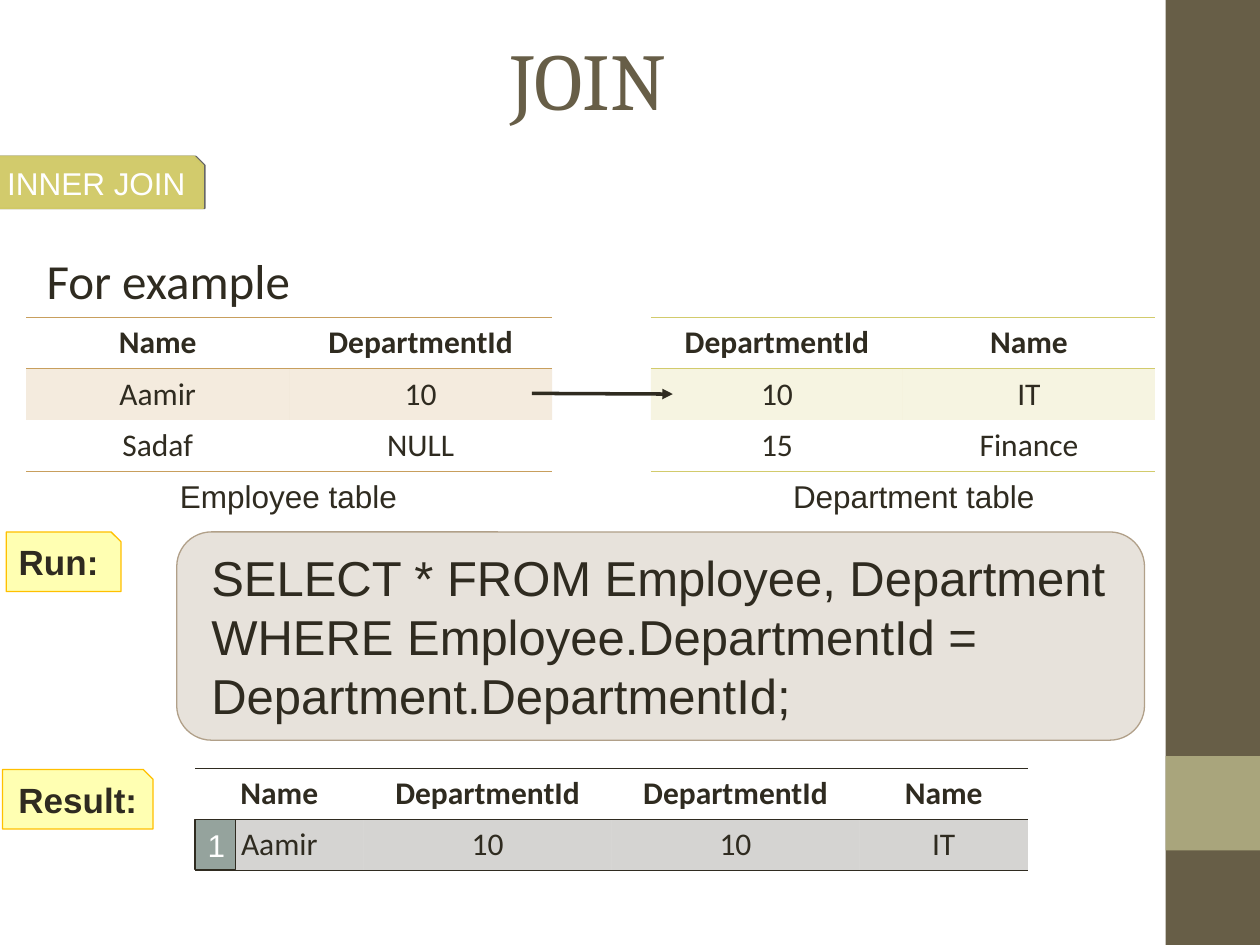
import dataclasses

import pptx
import pptx.dml.color
import pptx.enum.shapes
import pptx.enum.text
import pptx.oxml
import pptx.oxml.ns
import pptx.util

Pt = pptx.util.Pt
qn = pptx.oxml.ns.qn
RGB = pptx.dml.color.RGBColor.from_string
SHAPE = pptx.enum.shapes.MSO_SHAPE
ALIGN = pptx.enum.text.PP_ALIGN
ANCHOR = pptx.enum.text.MSO_ANCHOR
NS = pptx.oxml.ns.nsdecls("a")


@dataclasses.dataclass
class Theme:
    ink: str = "2F2B20"
    white: str = "FFFFFF"
    brown: str = "675E47"
    sage: str = "A9A57C"
    lime: str = "D2CB6C"
    lime_edge: str = "D0C967"
    ochre: str = "C89F5D"
    taupe: str = "B1A089"
    yellow: str = "FFFF00"
    amber: str = "FFC000"
    slate: str = "95A39D"
    title_font: str = "Cambria"
    text_font: str = "Calibri"
    label_font: str = "Arial"
    title_size: float = 46
    large: float = 28
    medium: float = 20
    small: float = 18
    hairline: float = 0.45
    thin: float = 0.75


class Deck:
    def __init__(self, prs, theme):
        self.theme = theme
        self.slide = prs.slides.add_slide(prs.slide_layouts[5])
        self.shapes = self.slide.shapes

    def fill_text(self, tf, text, size, font=None, color=None, bold=False,
                  align=ALIGN.LEFT):
        p = tf.paragraphs[0]
        p.text = text
        p.alignment = align
        r = p.runs[0]
        r.font.size = Pt(size)
        r.font.name = font or self.theme.label_font
        r.font.bold = bold
        r.font.color.rgb = RGB(color or self.theme.ink)

    def set_opacity(self, props, percent):
        color = props.find(qn("a:solidFill"))[0]
        color.append(pptx.oxml.parse_xml(
            f'<a:alpha {NS} val="{percent * 1000}"/>'))

    def paint(self, sp, fill, line=None, width=1, opacity=100):
        sp.shadow.inherit = False
        sp.fill.solid()
        sp.fill.fore_color.rgb = RGB(fill)
        if opacity < 100:
            self.set_opacity(sp.element.spPr, opacity)
        if line:
            sp.line.color.rgb = RGB(line)
            sp.line.width = Pt(width)
        else:
            sp.line.fill.background()
        sp.text_frame.word_wrap = True
        return sp

    def title(self, text, x, y, w, h):
        sp = self.shapes.title
        sp.left, sp.top, sp.width, sp.height = map(Pt, (x, y, w, h))
        tf = sp.text_frame
        tf.auto_size = pptx.enum.text.MSO_AUTO_SIZE.NONE
        tf.vertical_anchor = ANCHOR.MIDDLE
        self.fill_text(tf, text, self.theme.title_size, self.theme.title_font,
                       self.theme.brown, align=ALIGN.CENTER)

    def text(self, text, x, y, w, h, size, **style):
        tf = self.shapes.add_textbox(*map(Pt, (x, y, w, h))).text_frame
        tf.word_wrap = True
        self.fill_text(tf, text, size, **style)

    def box(self, kind, x, y, w, h, fill, **paint):
        sp = self.shapes.add_shape(kind, *map(Pt, (x, y, w, h)))
        return self.paint(sp, fill, **paint)

    def tag(self, text, x, y, w, h, size, fill, line, width=1, opacity=100,
            snip=5.6, **style):
        """Label with its top right corner cut off."""
        right, bottom = x + w, y + h
        outline = [(right - snip, y), (right, y + snip), (right, bottom),
                   (x, bottom)]
        fb = self.shapes.build_freeform(Pt(x), Pt(y), 1.0)
        fb.add_line_segments([(Pt(a), Pt(b)) for a, b in outline], close=True)
        sp = self.paint(fb.convert_to_shape(), fill, line, width, opacity)
        sp.text_frame.vertical_anchor = ANCHOR.MIDDLE
        self.fill_text(sp.text_frame, text, size, **style)
        return sp

    def hard_shadow(self, sp):
        effects = sp.element.spPr.find(qn("a:effectLst"))
        effects.append(pptx.oxml.parse_xml(
            f'<a:outerShdw {NS} blurRad="0" dist="{Pt(1)}" dir="0">'
            '<a:srgbClr val="000000"><a:alpha val="60000"/></a:srgbClr>'
            '</a:outerShdw>'))

    def borders(self, cell, color, sides):
        tcPr = cell._tc.get_or_add_tcPr()
        for i, side in enumerate("LRTB"):
            paint = (f'<a:solidFill><a:srgbClr val="{color}"/></a:solidFill>'
                     if side in sides else "<a:noFill/>")
            tcPr.insert(i, pptx.oxml.parse_xml(
                f'<a:ln{side} {NS} w="{Pt(self.theme.hairline)}">'
                f'{paint}</a:ln{side}>'))

    def table(self, rows, x, y, widths, row_h, color):
        """Ruled table: bold header, first data row tinted."""
        frame = self.shapes.add_table(
            len(rows), len(widths),
            *map(Pt, (x, y, sum(widths), row_h * len(rows))))
        table = frame.table
        table.first_row = table.horz_banding = False
        for column, w in zip(table.columns, widths):
            column.width = Pt(w)
        for i, row in enumerate(rows):
            table.rows[i].height = Pt(row_h)
            sides = ("T" if i < 2 else "") + (
                "B" if i in (0, len(rows) - 1) else "")
            for j, value in enumerate(row):
                cell = table.cell(i, j)
                self.fill_text(cell.text_frame, value, self.theme.small,
                               self.theme.text_font, bold=i == 0,
                               align=ALIGN.CENTER)
                if i == 1:
                    cell.fill.solid()
                    cell.fill.fore_color.rgb = RGB(color)
                    self.set_opacity(cell._tc.tcPr, 20)
                else:
                    cell.fill.background()
                self.borders(cell, color, sides)

    def arrow(self, x1, y1, x2, y2):
        line = self.shapes.add_connector(
            pptx.enum.shapes.MSO_CONNECTOR.STRAIGHT,
            *map(Pt, (x1, y1, x2, y2)))
        line.line.color.rgb = RGB(self.theme.ink)
        line.line.width = Pt(2)
        spPr = line.element.spPr
        spPr.find(qn("a:ln")).append(
            pptx.oxml.parse_xml(f'<a:tailEnd {NS} type="triangle"/>'))
        spPr.append(pptx.oxml.parse_xml(f"<a:effectLst {NS}/>"))


def main():
    prs = pptx.Presentation()
    prs.slide_width, prs.slide_height = Pt(720), Pt(540)
    t = Theme()
    d = Deck(prs, t)

    # Side band, title and topic tag
    d.box(SHAPE.RECTANGLE, 666, 0, 54, 540, t.brown)
    d.box(SHAPE.RECTANGLE, 666, 432, 54, 54, t.sage)
    d.title("JOIN", 36, 0, 600, 90)
    topic = d.tag("INNER JOIN", -3, 89.5, 119, 29.5, t.small, t.lime,
                  t.lime_edge, snip=5, color=t.white)
    d.hard_shadow(topic)
    d.text("For example", 19.5, 139.7, 682, 85, t.large, font=t.text_font)

    # Query
    query = d.box(SHAPE.ROUNDED_RECTANGLE, 101, 304, 553, 119, t.taupe,
                  line=t.taupe, width=t.thin, opacity=30)
    query.text_frame.vertical_anchor = ANCHOR.MIDDLE
    query.text_frame.margin_left = Pt(14)
    d.fill_text(query.text_frame, "SELECT * FROM Employee, Department WHERE "
                "Employee.DepartmentId = Department.DepartmentId;", t.large)

    # Source tables with captions
    d.table([("Name", "DepartmentId"), ("Aamir", "10"), ("Sadaf", "NULL")],
            15, 181.5, [150.25] * 2, 29.2, t.ochre)
    d.table([("DepartmentId", "Name"), ("10", "IT"), ("15", "Finance")],
            372, 181.5, [144] * 2, 29.2, t.lime)
    for caption, x in (("Employee table", 85.7), ("Department table", 443)):
        d.text(caption, x, 269.3, 158.4, 29, t.small, align=ALIGN.CENTER)

    # Result table
    d.table([("Name", "DepartmentId", "DepartmentId", "Name"),
             ("Aamir", "10", "10", "IT")],
            111.5, 439, [96.3, 141.7, 141.7, 96.3], 29.2, t.ink)

    # Step labels
    for label, x, y, w, align in (("Result:", 1.5, 439.7, 86, ALIGN.CENTER),
                                  ("Run:", 3.6, 304, 65.5, ALIGN.LEFT)):
        d.tag(label, x, y, w, 34, t.medium, t.yellow, t.amber, t.thin, 30,
              bold=True, align=align)

    # Matching row arrow and result row number
    d.arrow(304, 224.8, 384.5, 225.2)
    number = d.box(SHAPE.RECTANGLE, 111.5, 468.5, 23, 28.4, t.slate,
                   line=t.ink, width=t.thin)
    number.text_frame.vertical_anchor = ANCHOR.TOP
    d.fill_text(number.text_frame, "1", t.small, color=t.white)

    prs.save("out.pptx")


if __name__ == "__main__":
    main()
